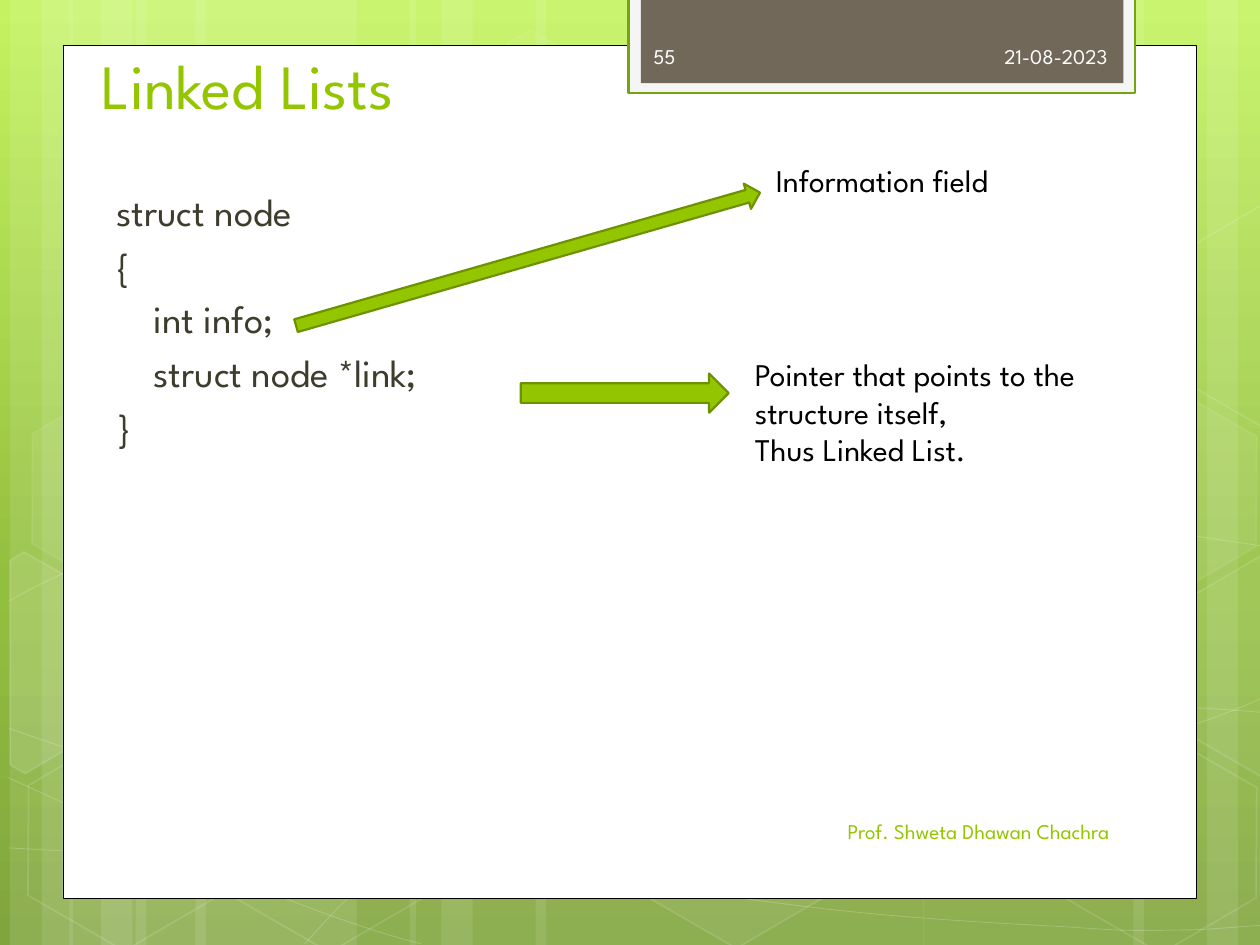
from copy import deepcopy
from dataclasses import dataclass

from lxml.etree import SubElement
from pptx import Presentation
from pptx.dml.color import RGBColor
from pptx.enum.shapes import MSO_SHAPE
from pptx.enum.text import MSO_ANCHOR, MSO_AUTO_SIZE, PP_ALIGN
from pptx.oxml.ns import qn
from pptx.util import Cm, Pt


@dataclass(frozen=True)
class Theme:
    font: str = "League Spartan"
    sky: tuple = ((0, "C3F35F"), (0.62, "93BF3F"), (1, "81A53E"))
    white: str = "FFFFFF"
    black: str = "000000"
    green: str = "94C600"
    arrow_edge: str = "6D9200"
    tab_edge: str = "74A510"
    tab_frame: str = "F5F5F5"
    tab: str = "71685A"
    tab_text: str = "FEFEFE"
    code: str = "3E3D2D"
    title_size: int = 36
    code_size: int = 22
    label_size: int = 18
    footer_size: int = 12


THEME = Theme()
SLIDE_WIDTH, SLIDE_HEIGHT = 25.4, 19.05
CM_PER_UNIT = 2.54

STRIPE_GROUPS = ((0.2, 1, 4.45), (1.4, 1, 4.45), (25.6, -1, 4.45), (8.26, 1, 7.82))
HEXAGONS = (
    (8.48, 0.91, 4, 8), (12.62, 14.96, 6, 12), (0.28, 15.01, 0, 12),
    (0.36, 7.92, 7, 8), (4.42, 15.04, 0, 12), (21.18, 15.06, 0, 12),
    (21.18, 7.98, 7, 8),
)
CURVES = (
    ((0.07, 6.73), (0.61, 6.76), (1.15, 6.79), (1.9, 6.78), (2.65, 6.77),
     (3.58, 6.75), (4.58, 6.65), (5.58, 6.55), (7, 6.36), (7.92, 6.17),
     (8.83, 5.98), (9.77, 5.68), (10.07, 5.51)),
    ((0.07, 4.77), (0.36, 4.61), (0.65, 4.46), (1.21, 4.31), (1.78, 4.16),
     (2.59, 3.94), (3.47, 3.87), (4.36, 3.8), (5.44, 3.79), (6.54, 3.87),
     (7.64, 3.95), (9.47, 4.26), (10.07, 4.34)),
    ((0.06, 6.17), (1.27, 6.72), (2.47, 7.27), (3.34, 7.49)),
    ((0.07, 5.78), (0.38, 5.89), (0.7, 6), (1.28, 6.16), (1.86, 6.31),
     (2.73, 6.56), (3.57, 6.73), (4.4, 6.9), (5.45, 7.08), (6.28, 7.18),
     (7.11, 7.29), (8, 7.33), (8.53, 7.36), (9.05, 7.4), (9.19, 7.38),
     (9.45, 7.38), (9.71, 7.37), (9.89, 7.35), (10.07, 7.34)),
    ((2.42, 7.49), (2.6, 7.29), (2.78, 7.09), (3.02, 6.91), (3.26, 6.73),
     (3.6, 6.53), (3.88, 6.39), (4.16, 6.25), (4.33, 6.19), (4.7, 6.09),
     (5.06, 5.99), (5.73, 5.85), (6.08, 5.78), (6.44, 5.71), (6.49, 5.71),
     (6.8, 5.69), (7.11, 5.66), (7.6, 5.63), (7.94, 5.62), (8.29, 5.61),
     (8.86, 5.62), (8.86, 5.62), (9.08, 5.62), (9.31, 5.62), (9.53, 5.62),
     (9.71, 5.63), (9.88, 5.64), (10.06, 5.66)),
)
CUT_HEXAGONS = (
    (((0.08, 4.45), (0.19, 4.38), (0.96, 4.82), (0.95, 5.7), (0.2, 6.14), (0.08, 6.07)), 10),
    (((9.26, 4.85), (10.01, 4.41), (10.09, 4.46), (10.09, 6.13), (10.02, 6.17), (9.26, 5.73)), 4),
    (((9.26, 2.07), (10.01, 1.63), (10.1, 1.68), (10.09, 3.35), (10.02, 3.39), (9.26, 2.95)), 0),
)


def apply_format(target, values):
    for attribute, value in values.items():
        setattr(target, attribute, value)


def set_color(fill, color, opacity):
    fill.solid()
    fill.fore_color.rgb = RGBColor.from_string(color)
    if opacity < 100:
        color_element = fill._xPr.find(qn("a:solidFill"))[0]
        SubElement(color_element, qn("a:alpha"), val=str(opacity * 1000))


def paint(shape, fill=None, opacity=100, edge=None, edge_width=1, edge_opacity=100):
    shape.shadow.inherit = False
    if fill and opacity:
        set_color(shape.fill, fill, opacity)
    else:
        shape.fill.background()
    if edge:
        set_color(shape.line.fill, edge, edge_opacity)
        shape.line.width = Pt(edge_width)
    else:
        shape.line.fill.background()


def add_preset(slide, kind, box, rotation=0, **colors):
    shape = slide.shapes.add_shape(kind, *map(Cm, box))
    shape.rotation = rotation
    paint(shape, **colors)
    return shape


def add_outline(slide, points, close, **colors):
    start, *rest = [tuple(Cm(CM_PER_UNIT * value) for value in point) for point in points]
    builder = slide.shapes.build_freeform(*start)
    builder.add_line_segments(rest, close=close)
    outline = builder.convert_to_shape()
    paint(outline, **colors)
    return outline


def bend(outline):
    track = outline._element.find(".//" + qn("a:path"))
    segments = track.findall(qn("a:lnTo"))
    for first in range(0, len(segments), 3):
        curve = SubElement(track, qn("a:cubicBezTo"))
        for segment in segments[first:first + 3]:
            curve.append(segment[0])
            track.remove(segment)


def write_lines(frame, lines, size, color, anchor=MSO_ANCHOR.TOP, align=PP_ALIGN.LEFT, gap=0, indents=()):
    apply_format(frame, {"word_wrap": True, "auto_size": MSO_AUTO_SIZE.NONE, "vertical_anchor": anchor})
    for index, line in enumerate(lines):
        paragraph = frame.paragraphs[0] if index == 0 else frame.add_paragraph()
        if index in indents:
            paragraph._p.get_or_add_pPr().set("marL", str(Cm(0.75)))
        apply_format(paragraph, {"alignment": align, "space_before": Pt(gap if index else 0)})
        run = paragraph.add_run()
        run.text = line
        apply_format(run.font, {"name": THEME.font, "size": Pt(size)})
        run.font.color.rgb = RGBColor.from_string(color)


def add_text(slide, box, lines, size, color, **layout):
    write_lines(slide.shapes.add_textbox(*map(Cm, box)).text_frame, lines, size, color, **layout)


def add_background(slide):
    fill = slide.background.fill
    fill.gradient()
    fill.gradient_angle = 270
    stop_list = slide._element.find(".//" + qn("a:gsLst"))
    stop_list.append(deepcopy(stop_list[-1]))
    for stop, (position, color) in zip(fill.gradient_stops, THEME.sky):
        stop.position = position
        stop.color.rgb = RGBColor.from_string(color)


def add_pattern(slide):
    for edge, direction, wide in STRIPE_GROUPS:
        for offset, width in ((2.54, wide), (0, 1.27), (0.64, 2.11)):
            left = edge + offset if direction > 0 else edge - offset - width
            add_preset(slide, MSO_SHAPE.RECTANGLE, (left, 0, width, SLIDE_HEIGHT),
                       fill=THEME.white, opacity=10)
    for controls in CURVES:
        bend(add_outline(slide, controls, False, edge=THEME.white, edge_width=0.5, edge_opacity=20))
    for left, top, opacity, edge_opacity in HEXAGONS:
        hexagon = add_preset(slide, MSO_SHAPE.HEXAGON, (left, top, 4.44, 3.86), 30, fill=THEME.white,
                             opacity=opacity, edge=THEME.white, edge_opacity=edge_opacity)
        hexagon.adjustments[0] = 0.285
    for corners, opacity in CUT_HEXAGONS:
        add_outline(slide, corners, True, fill=THEME.white, opacity=opacity,
                    edge=THEME.white, edge_opacity=12)


def add_card(slide):
    add_preset(slide, MSO_SHAPE.RECTANGLE, (1.27, 0.91, 22.86, 17.2),
               fill=THEME.white, edge=THEME.black, edge_width=0.5)
    add_preset(slide, MSO_SHAPE.RECTANGLE, (12.67, -0.05, 10.21, 1.93),
               fill=THEME.tab_frame, edge=THEME.tab_edge, edge_width=1.25)
    add_preset(slide, MSO_SHAPE.RECTANGLE, (12.92, -0.05, 9.73, 1.73), fill=THEME.tab)


def add_title(slide, text):
    title = slide.shapes.title
    slide.shapes._spTree.append(title._element)
    apply_format(title, dict(zip(("left", "top", "width", "height"), map(Cm, (1.8, 1.32, 19.5, 1.27)))))
    write_lines(title.text_frame, [text], THEME.title_size, THEME.green, anchor=MSO_ANCHOR.BOTTOM)


def main():
    deck = Presentation()
    apply_format(deck, {"slide_width": Cm(SLIDE_WIDTH), "slide_height": Cm(SLIDE_HEIGHT)})
    slide = deck.slides.add_slide(deck.slide_layouts[5])
    add_background(slide)
    add_pattern(slide)
    add_card(slide)
    add_title(slide, "Linked Lists")
    add_text(slide, (2.1, 3.66, 18.82, 9.75), ["struct node", "{", "int info;", "struct node *link;", "}"],
             THEME.code_size, THEME.code, gap=4.4, indents=(2, 3))
    for box, rotation in (((10.5, 7.53, 4.19, 0.79), 0), ((5.78, 4.96, 9.73, 0.53), 344)):
        add_preset(slide, MSO_SHAPE.RIGHT_ARROW, box, rotation,
                   fill=THEME.green, edge=THEME.arrow_edge, edge_width=1.25)
    add_text(slide, (14.97, 7.03, 8.13, 2.57),
             ["Pointer that points to the structure itself,", "Thus Linked List."],
             THEME.label_size, THEME.black)
    add_text(slide, (15.39, 3.12, 8.13, 1.02), ["Information field"], THEME.label_size, THEME.black)
    for box, text, color, align in (
        ((16.66, 0.63, 5.92, 1.02), "21-08-2023", THEME.tab_text, PP_ALIGN.RIGHT),
        ((12.9, 16.24, 9.72, 1.02), "Prof. Shweta Dhawan Chachra", THEME.green, PP_ALIGN.RIGHT),
        ((12.92, 0.63, 3.71, 1.02), "55", THEME.tab_text, PP_ALIGN.LEFT),
    ):
        add_text(slide, box, [text], THEME.footer_size, color, anchor=MSO_ANCHOR.MIDDLE, align=align)
    deck.save("out.pptx")


if __name__ == "__main__":
    main()
